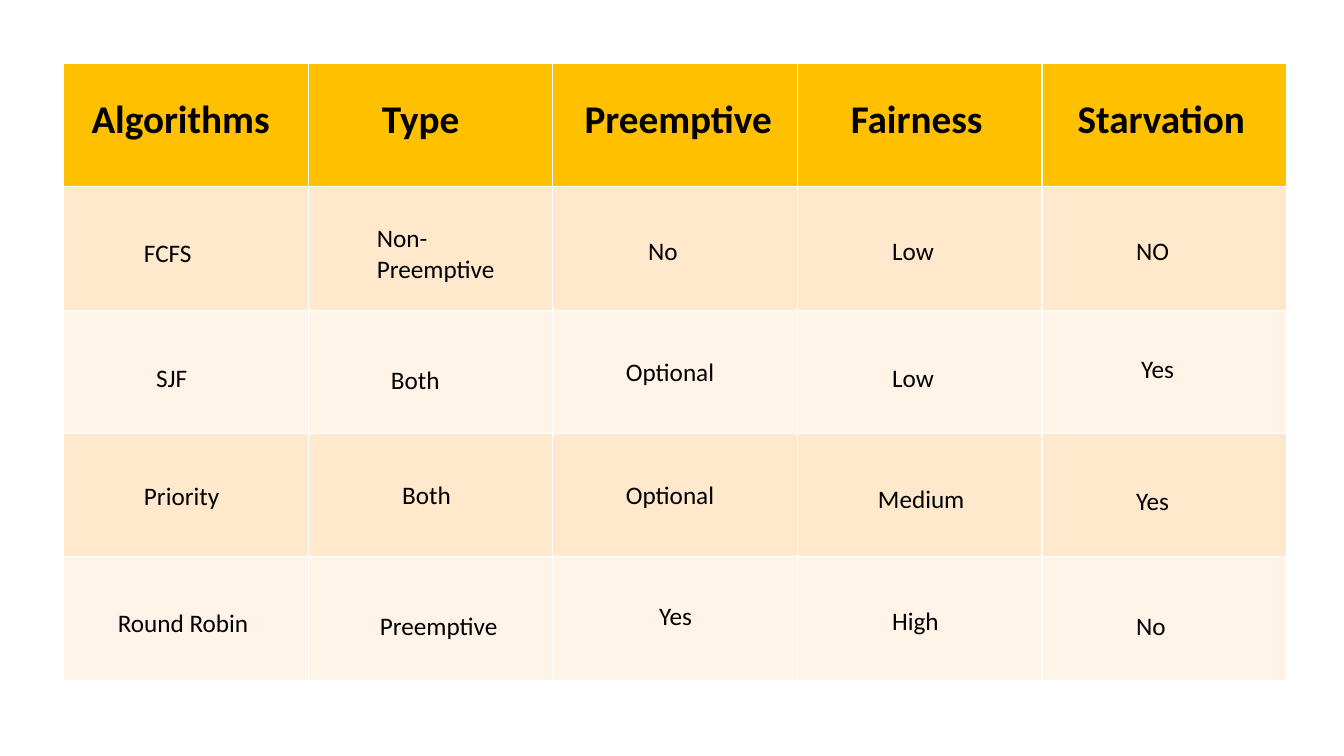
from pptx import Presentation
from pptx.dml.color import RGBColor
from pptx.enum.text import MSO_AUTO_SIZE
from pptx.util import Pt

PX = 9144
FONT = "Calibri"
COLORS = {"head": "FFC000", "odd": "FFE8CC", "even": "FFF4E7", "text": "000000"}
ROWS, COLS = 5, 5

HEADS = [("Algorithms", 18), ("Type", 306), ("Preemptive", 507),
         ("Fairness", 771), ("Starvation", 996)]
LABELS = [
    ("FCFS", 70, 168, 134), ("Non-Preemptive", 301, 153, 162),
    ("No", 570, 166, 134), ("Low", 812, 166, 134), ("NO", 1054, 166, 134),
    ("SJF", 82, 292, 134), ("Both", 315, 294, 134),
    ("Optional", 548, 286, 134), ("Low", 812, 292, 134), ("Yes", 1059, 283, 134),
    ("Priority", 70, 409, 134), ("Both", 326, 408, 134),
    ("Optional", 548, 408, 134), ("Medium", 798, 412, 134), ("Yes", 1054, 414, 134),
    ("Round Robin", 44, 535, 160), ("Preemptive", 304, 538, 149),
    ("Yes", 581, 528, 134), ("High", 812, 533, 134), ("No", 1054, 538, 134),
]


def color(name):
    """Return the named colour."""
    return RGBColor.from_string(COLORS[name])


def add_grid(slide, box):
    """Draw the banded table that fills the box."""
    table = slide.shapes.add_table(ROWS, COLS, *(n * PX for n in box)).table
    for i, row in enumerate(table.rows):
        band = "head" if i == 0 else "odd" if i % 2 else "even"
        for cell in row.cells:
            cell.fill.solid()
            cell.fill.fore_color.rgb = color(band)


def add_label(slide, text, box, size, bold=False):
    """Write one line of text in the box."""
    frame = slide.shapes.add_textbox(*(n * PX for n in box)).text_frame
    frame.word_wrap = True
    frame.auto_size = MSO_AUTO_SIZE.SHAPE_TO_FIT_TEXT
    frame.text = text
    font = frame.paragraphs[0].runs[0].font
    font.name, font.size, font.bold = FONT, Pt(size), bold
    font.color.rgb = color("text")


def add_chart(slide, box):
    """Lay the grid and its labels out in the box."""
    left, top = box[:2]
    add_grid(slide, box)
    for text, x in HEADS:
        add_label(slide, text, (left + x, top + 26, 217, 57), 28, True)
    for text, x, y, width in LABELS:
        height = 71 if text == "Non-Preemptive" else 40
        add_label(slide, text, (left + x, top + y, width, height), 18)


def main():
    """Build and save the slide."""
    deck = Presentation()
    deck.slide_width, deck.slide_height = 1333 * PX, 750 * PX
    slide = deck.slides.add_slide(deck.slide_layouts[6])
    add_chart(slide, (63, 63, 1213, 612))
    deck.save("out.pptx")


if __name__ == "__main__":
    main()
